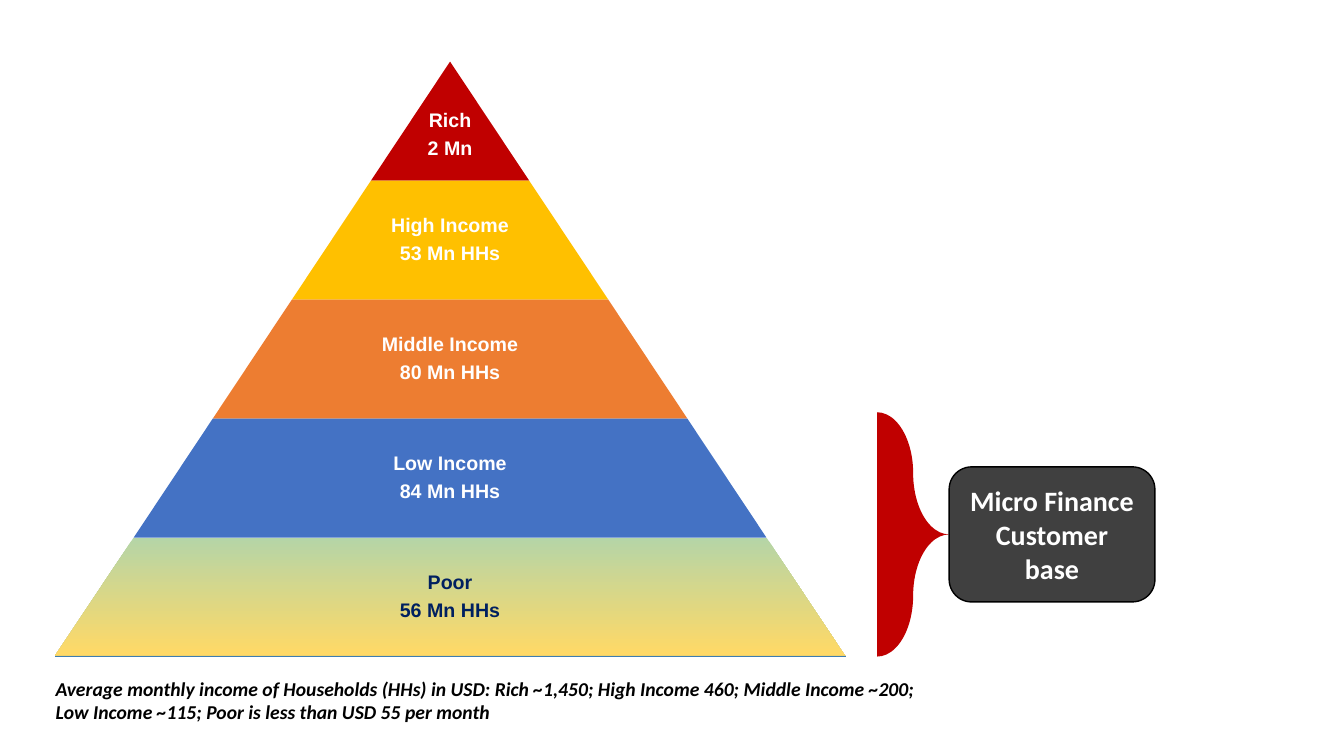
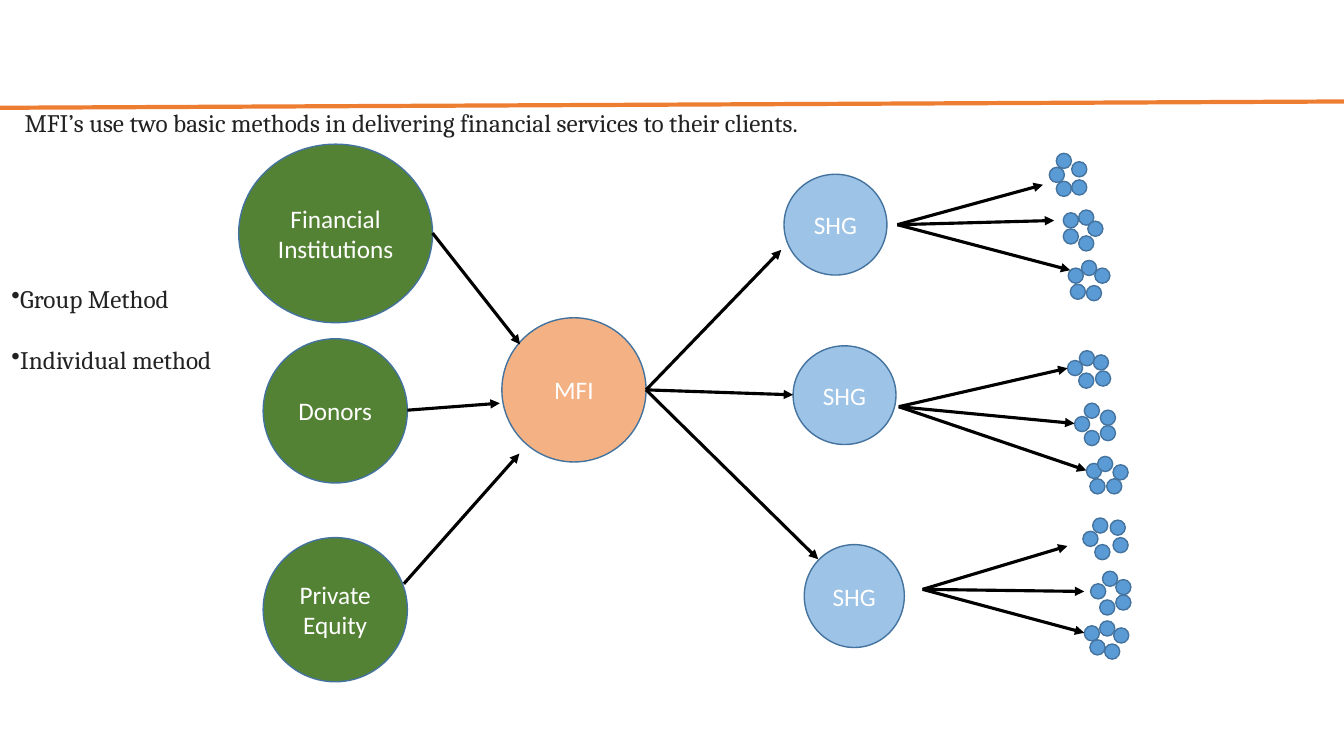
from copy import deepcopy

from pptx import Presentation
from pptx.dml.color import RGBColor
from pptx.enum.shapes import MSO_CONNECTOR as LINE, MSO_SHAPE as SHAPE
from pptx.enum.text import MSO_ANCHOR as ANCHOR, PP_ALIGN as ALIGN
from pptx.oxml.ns import qn
from pptx.oxml.xmlchemy import OxmlElement
from pptx.util import Pt

HUES = {
    "white": "FFFFFF", "black": "000000", "ink": "222222", "navy": "002060",
    "red": "C00000", "gold": "FFC000", "orange": "ED7D31", "blue": "4472C4",
    "sage": "B5D5A7", "sand": "FFD966", "base": "2E75B6", "gray": "404040",
    "green": "548235", "peach": "F4B183", "sky": "9DC3E6", "dot": "5B9BD5",
    "rim": "43739E",
}

# Label lines, fill and text colour, from top to bottom
TIERS = [
    (["Rich", "2 Mn"], "red", "white"),
    (["High Income", "53 Mn HHs"], "gold", "white"),
    (["Middle Income", "80 Mn HHs"], "orange", "white"),
    (["Low Income", "84 Mn HHs"], "blue", "white"),
    (["Poor", "56 Mn HHs"], None, "navy"),
]
MID, TOP, STEP, TALL = 321.5, 44, 113, 85

ROUNDS = [
    ("Financial Institutions", "green", (170.5, 103, 138.5, 127.5)),
    ("Donors", "green", (188, 242, 103, 103)),
    ("Private Equity", "green", (188, 384, 103, 103)),
    ("MFI", "peach", (358.5, 227, 103, 103)),
    ("SHG", "sky", (574.5, 389, 71.5, 73.5)),
    ("SHG", "sky", (566.5, 247, 73.5, 70.5)),
    ("SHG", "sky", (560, 124.5, 73.5, 72)),
]

# Corner of each group of clients, then its dots measured from that corner
GROUPS = [
    ((749.5, 109.5), [(0, 10), (5, 0), (16, 6), (16, 19), (5, 20)]),
    ((759.5, 150), [(0, 2), (11, 0), (17.5, 8), (0, 13.5), (11, 18.5)]),
    ((763, 186), [(0, 5.5), (9.5, 0), (19, 5.5), (1.5, 17), (13, 18)]),
    ((762.5, 250.5), [(0, 7), (8.5, 0), (18.5, 3), (8, 16), (20, 14.5)]),
    ((767.5, 288), [(0, 9.5), (7, 0), (18.5, 5), (18.5, 16), (7, 19.5)]),
    ((776, 326), [(0, 5), (8, 0), (19, 6), (2.5, 16), (14.5, 16)]),
    ((773.5, 370), [(0, 9.5), (7, 0), (19.5, 1.5), (21.5, 14), (8.5, 19)]),
    ((779, 408), [(0, 9), (8.5, 0), (18, 6), (18, 17), (6.5, 20.5)]),
    ((774.5, 443.5), [(0, 3.5), (11, 0), (21, 5), (4, 13.5), (14.5, 16.5)]),
]
DOT = 10.8

# Start of each fan of arrows, then its tips
FANS = [
    ((309, 166.5), [(371.5, 246)]),
    ((291, 293), [(357, 288)]),
    ((288.5, 417), [(371, 324)]),
    ((461.5, 278.5), [(558, 178.5), (566.5, 282), (584.5, 399.5)]),
    ((641, 160.5), [(745, 132), (753, 157.5), (764.5, 193)]),
    ((642, 290.5), [(762.5, 263), (767.5, 302.5), (776, 336)]),
    ((659, 421), [(762.5, 390), (774.5, 422.5), (774.5, 452)]),
]


def hue(name):
    return RGBColor.from_string(HUES[name])


def write(shape, lines, size=18, font="Calibri", ink="white", bold=False,
          slant=False, align=ALIGN.CENTER, anchor=ANCHOR.MIDDLE, inset=None,
          lead=None, gap=0, dots=False):
    """Fill a shape with one paragraph a line; gap is the space between."""
    frame = shape.text_frame
    frame.word_wrap = True
    frame.vertical_anchor = anchor
    if inset is not None:
        frame.margin_left = frame.margin_right = Pt(inset)
        frame.margin_top = frame.margin_bottom = Pt(inset)
    for i, line in enumerate(lines):
        para = frame.paragraphs[0] if i == 0 else frame.add_paragraph()
        para.alignment = align
        if lead:
            para.line_spacing = lead
        if i and gap:
            para.space_before = Pt(gap)
        if dots:
            mark = OxmlElement("a:buChar")
            mark.set("char", "•")
            para._p.get_or_add_pPr().append(mark)
        run = para.add_run()
        run.text = line
        face = run.font
        face.size, face.name = Pt(size), font
        face.bold, face.italic = bold, slant
        face.color.rgb = hue(ink)


def note(slide, spot, lines, **look):
    write(slide.shapes.add_textbox(*map(Pt, spot)), lines, **look)


def form(slide, kind, spot, fill=None, rim=None, adjust=()):
    shape = slide.shapes.add_shape(kind, *map(Pt, spot))
    shape.shadow.inherit = False
    for i, value in enumerate(adjust):
        shape.adjustments[i] = value
    if fill:
        shape.fill.solid()
        shape.fill.fore_color.rgb = hue(fill)
    if rim:
        shape.line.color.rgb = hue(rim)
        shape.line.width = Pt(1)
    else:
        shape.line.fill.background()
    return shape


def blend(shape, stops):
    """Shade a shape downward through (position, colour) stops."""
    shape.fill.gradient()
    shape.fill.gradient_angle = 270
    marks = shape._element.spPr.find(".//" + qn("a:gsLst"))
    while len(marks) < len(stops):
        marks.append(deepcopy(marks[-1]))
    for stop, (place, name) in zip(shape.fill.gradient_stops, stops):
        stop.position = place
        stop.color.rgb = hue(name)


def link(slide, start, end, ink="black", width=2.25, arrow=True):
    line = slide.shapes.add_connector(LINE.STRAIGHT, *map(Pt, start + end))
    line.line.color.rgb = hue(ink)
    line.line.width = Pt(width)
    if arrow:
        head = OxmlElement("a:tailEnd")
        head.set("type", "triangle")
        line.line._get_or_add_ln().append(head)
    line._element.spPr.append(OxmlElement("a:effectLst"))


def draw_tiers(slide):
    for i, (lines, fill, ink) in enumerate(TIERS):
        wide = STEP * (i + 1)
        spot = (MID - wide / 2, TOP + TALL * i, wide, TALL)
        tier = form(slide, SHAPE.TRAPEZOID, spot, fill,
                    adjust=[STEP / 2 / TALL])
        if not fill:
            blend(tier, [(0, "sage"), (0.99, "sand"), (1, "base")])
        drop = 0 if i else 10  # the peak is narrow, so its label sits lower
        note(slide, (spot[0], spot[1] + drop, wide, TALL), lines, size=14,
             font="Arial", ink=ink, bold=True, inset=1.5, lead=0.9, gap=5.5)


def draw_market(slide):
    draw_tiers(slide)
    form(slide, SHAPE.RIGHT_BRACE, (626.5, 294.5, 51.5, 174.5), "red",
         adjust=[1.71, 0.5])
    base = form(slide, SHAPE.FLOWCHART_ALTERNATE_PROCESS,
                (678, 333.5, 147, 96.5), "gray", "black")
    write(base, ["Micro Finance Customer base"], size=20, bold=True)
    note(slide, (39, 482.5, 700.5, 35), [
        "Average monthly income of Households (HHs) in USD: "
        "Rich ~1,450; High Income 460; Middle Income ~200;",
        "Low Income ~115; Poor is less than USD 55 per month",
    ], size=14, ink="black", bold=True, slant=True, align=ALIGN.LEFT,
        anchor=ANCHOR.TOP, inset=0.72)


def draw_method(slide):
    link(slide, (0, 77), (960, 72.5), "orange", 3, arrow=False)
    for label, fill, spot in ROUNDS:
        write(form(slide, SHAPE.OVAL, spot, fill, "rim"), [label])
    for (left, top), dots in GROUPS:
        for x, y in dots:
            form(slide, SHAPE.OVAL, (left + x, top + y, DOT, DOT),
                 "dot", "rim")
    for start, tips in FANS:
        for tip in tips:
            link(slide, start, tip)
    look = dict(font="Cambria", ink="ink", align=ALIGN.LEFT,
                anchor=ANCHOR.TOP)
    note(slide, (10.5, 73, 739, 29), [
        "MFI’s use two basic methods in delivering financial services "
        "to their clients."], **look)
    note(slide, (1, 199, 178.5, 72.5), ["Group Method", "Individual method"],
         gap=22, dots=True, **look)


def main():
    deck = Presentation()
    deck.slide_width, deck.slide_height = Pt(960), Pt(540)
    blank = deck.slide_layouts[6]
    for draw in (draw_market, draw_method):
        draw(deck.slides.add_slide(blank))
    deck.save("out.pptx")


if __name__ == "__main__":
    main()
